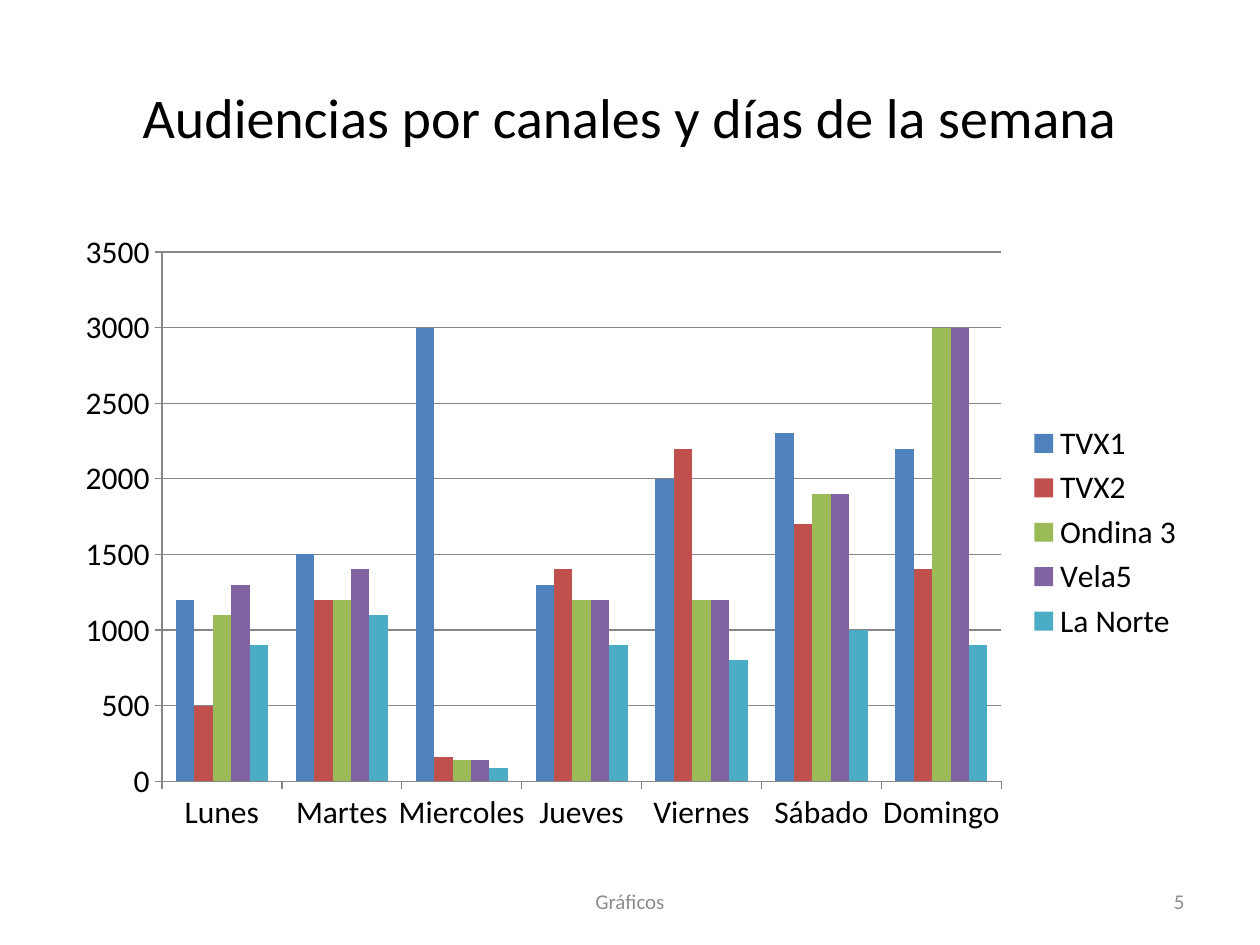
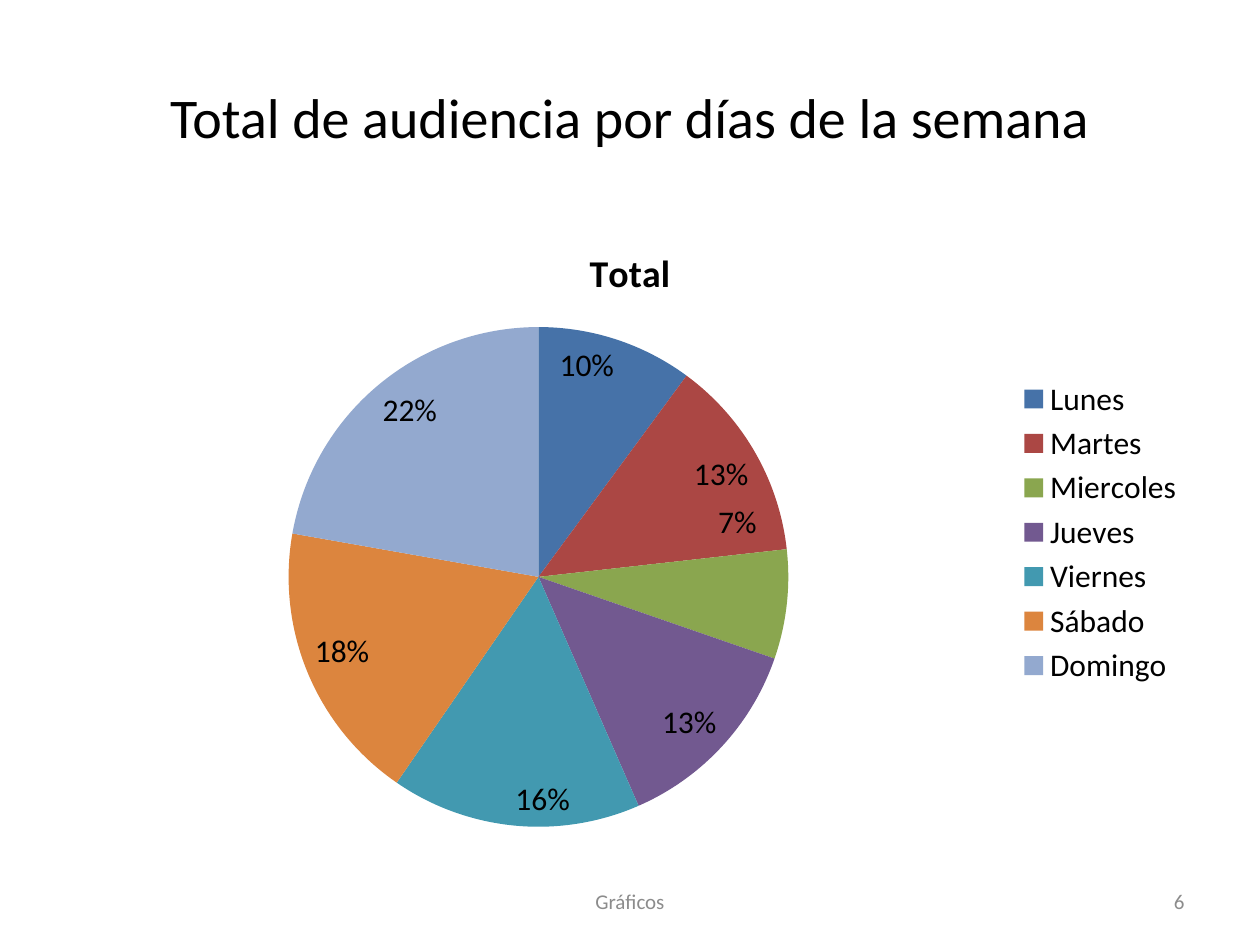
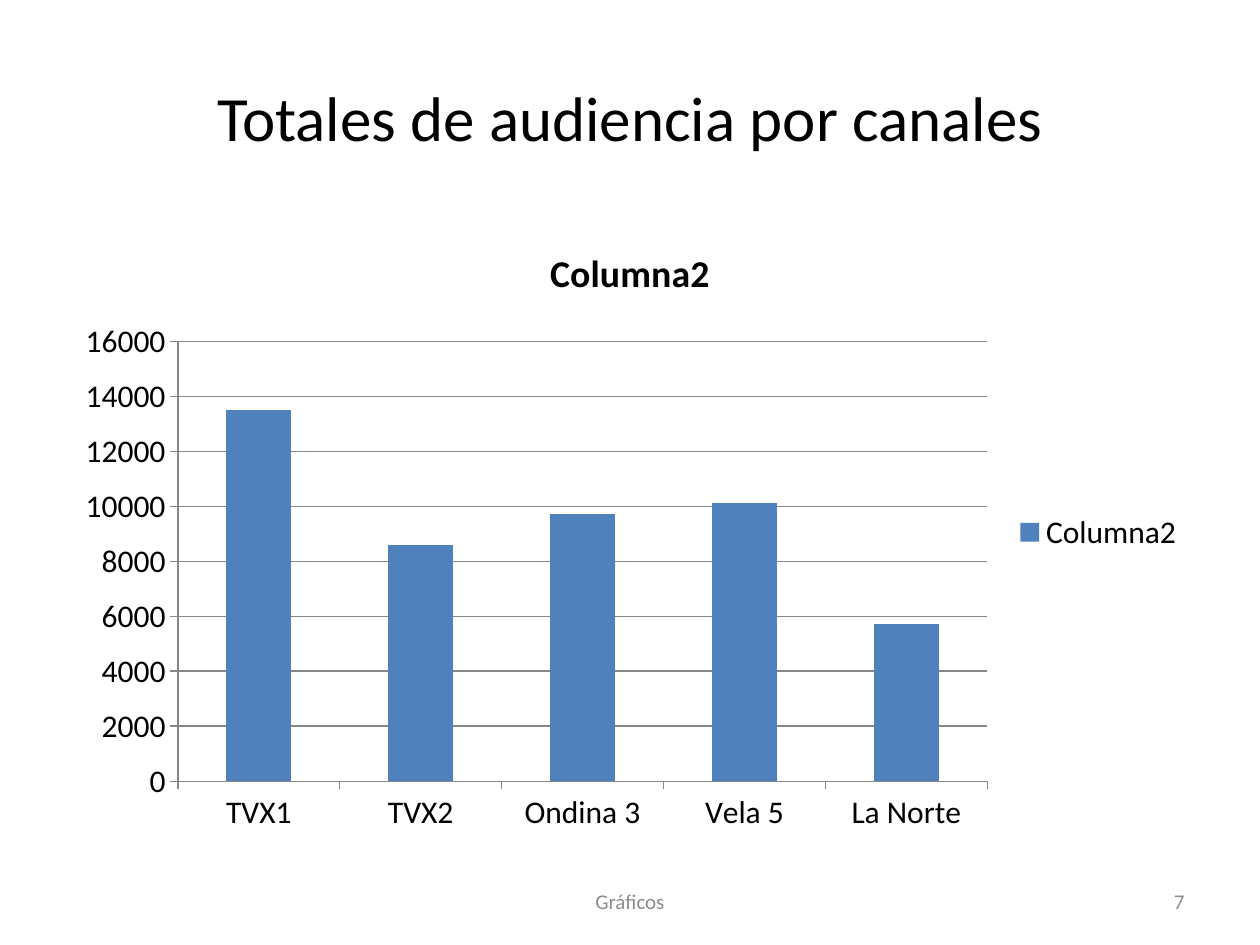
from pptx import Presentation
from pptx.chart.data import CategoryChartData
from pptx.dml.color import RGBColor
from pptx.enum.chart import XL_CHART_TYPE, XL_LABEL_POSITION, XL_LEGEND_POSITION, XL_TICK_MARK
from pptx.enum.text import MSO_ANCHOR, PP_ALIGN
from pptx.oxml import parse_xml
from pptx.oxml.ns import nsdecls
from pptx.util import Pt

CLUSTER = XL_CHART_TYPE.COLUMN_CLUSTERED
STACKED = XL_CHART_TYPE.COLUMN_STACKED
PIE = XL_CHART_TYPE.PIE
INSIDE = XL_LABEL_POSITION.INSIDE_END
RIGHT = XL_LEGEND_POSITION.RIGHT
OUT, NONE = XL_TICK_MARK.OUTSIDE, XL_TICK_MARK.NONE
MIDDLE = MSO_ANCHOR.MIDDLE
CENTER, END = PP_ALIGN.CENTER, PP_ALIGN.RIGHT

FONT = "Calibri"
COLORS = {
    "text": "000000", "foot": "8C8C8C", "line": "868686",
    "blue": "4F81BD", "red": "C0504D", "green": "9BBB59",
    "purple": "8064A2", "aqua": "4BACC6",
    "pie blue": "4672A8", "pie red": "AB4744", "pie green": "8AA64F",
    "pie purple": "725990", "pie aqua": "4299B0",
    "pie orange": "DC853E", "pie pale": "93A9CF",
}
BARS = ["blue", "red", "green", "purple", "aqua"]
SLICES = ["pie blue", "pie red", "pie green", "pie purple",
          "pie aqua", "pie orange", "pie pale"]

DAYS = ["Lunes", "Martes", "Miercoles", "Jueves", "Viernes", "Sábado", "Domingo"]
VIEWS = {
    "TVX1": [1200, 1500, 3000, 1300, 2000, 2300, 2200],
    "TVX2": [500, 1200, 160, 1400, 2200, 1700, 1400],
    "Ondina 3": [1100, 1200, 140, 1200, 1200, 1900, 3000],
    "Vela5": [1300, 1400, 140, 1200, 1200, 1900, 3000],
    "La Norte": [900, 1100, 90, 900, 800, 1000, 900],
}
SHARES = {"Total": [10, 13, 7, 13, 16, 18, 22]}
CHANNELS = ["TVX1", "TVX2", "Ondina 3", "Vela 5", "La Norte"]
TOTALS = {"Columna2": [13500, 8600, 9700, 10100, 5700]}


def tint(name):
    return RGBColor.from_string(COLORS[name])


def style(font, size, color="text", bold=False):
    font.name = FONT
    font.size = Pt(size)
    font.bold = bold
    font.color.rgb = tint(color)


def paint(part, color):
    part.format.fill.solid()
    part.format.fill.fore_color.rgb = tint(color)


def add_text(slide, text, box, size, color="text", align=CENTER):
    frame = slide.shapes.add_textbox(*map(Pt, box)).text_frame
    frame.word_wrap = True
    frame.vertical_anchor = MIDDLE
    frame.text = text
    para = frame.paragraphs[0]
    para.alignment = align
    style(para.runs[0].font, size, color)


def add_page(deck, title, number, size=32):
    slide = deck.slides.add_slide(deck.slide_layouts[6])
    add_text(slide, title, (36, 21.6, 648, 90), size)
    add_text(slide, "Gráficos", (246, 500.5, 228, 28.75), 12, "foot")
    add_text(slide, str(number), (516, 500.5, 168, 28.75), 12, "foot", END)
    return slide


def add_chart(slide, kind, cats, rows, title=None):
    data = CategoryChartData()
    data.categories = cats
    for name, vals in rows.items():
        data.add_series(name, vals)
    box = map(Pt, (36, 126, 648, 356.4))
    chart = slide.shapes.add_chart(kind, *box, data).chart
    style(chart.font, 18)
    chart.has_legend = True
    chart.legend.position = RIGHT
    chart.legend.include_in_layout = False
    chart.has_title = title is not None
    if title:
        frame = chart.chart_title.text_frame
        frame.text = title
        style(frame.paragraphs[0].runs[0].font, 21.6, bold=True)
    return chart


def rule(line):
    line.color.rgb = tint("line")
    line.width = Pt(0.75)


def add_bars(slide, kind, cats, rows, top, step, title=None):
    chart = add_chart(slide, kind, cats, rows, title)
    plot = chart.plots[0]
    plot.vary_by_categories = False
    plot.gap_width = 150
    plot.overlap = 100 if kind == STACKED else 0
    for series, color in zip(plot.series, BARS):
        paint(series, color)
    for axis in (chart.category_axis, chart.value_axis):
        axis.major_tick_mark = OUT
        axis.minor_tick_mark = NONE
        rule(axis.format.line)
    axis = chart.value_axis
    axis.minimum_scale, axis.maximum_scale, axis.major_unit = 0, top, step
    axis.has_major_gridlines = True
    rule(axis.major_gridlines.format.line)


def shift_label(labels, index, dx, dy):
    flags = "".join(
        f'<c:show{name} val="{int(name == "Percent")}"/>'
        for name in ("LegendKey", "Val", "CatName", "SerName", "Percent", "BubbleSize"))
    labels._element.insert(0, parse_xml(
        f'<c:dLbl {nsdecls("c")}><c:idx val="{index}"/><c:layout><c:manualLayout>'
        f'<c:x val="{dx}"/><c:y val="{dy}"/></c:manualLayout></c:layout>'
        f'<c:dLblPos val="inEnd"/>{flags}</c:dLbl>'))


def add_pie(slide, cats, rows, title):
    plot = add_chart(slide, PIE, cats, rows, title).plots[0]
    plot.vary_by_categories = True
    series = plot.series[0]
    for index, color in enumerate(SLICES):
        paint(series.points[index], color)
    labels = series.data_labels
    labels.show_value = False
    labels.show_percentage = True
    labels.number_format = "0%"
    labels.number_format_is_linked = False
    labels.position = INSIDE
    style(labels.font, 18)
    shift_label(labels, 2, -0.02, -0.1)


def main():
    deck = Presentation()
    deck.slide_width, deck.slide_height = Pt(720), Pt(540)
    slide = add_page(deck, "Audiencias por canales y días de la semana", 5)
    add_bars(slide, CLUSTER, DAYS, VIEWS, 3500, 500)
    slide = add_page(deck, "Total de audiencia por días de la semana", 6)
    add_pie(slide, DAYS, SHARES, "Total")
    slide = add_page(deck, "Totales de audiencia por canales", 7, 36)
    add_bars(slide, STACKED, CHANNELS, TOTALS, 16000, 2000, "Columna2")
    deck.save("out.pptx")


main()
